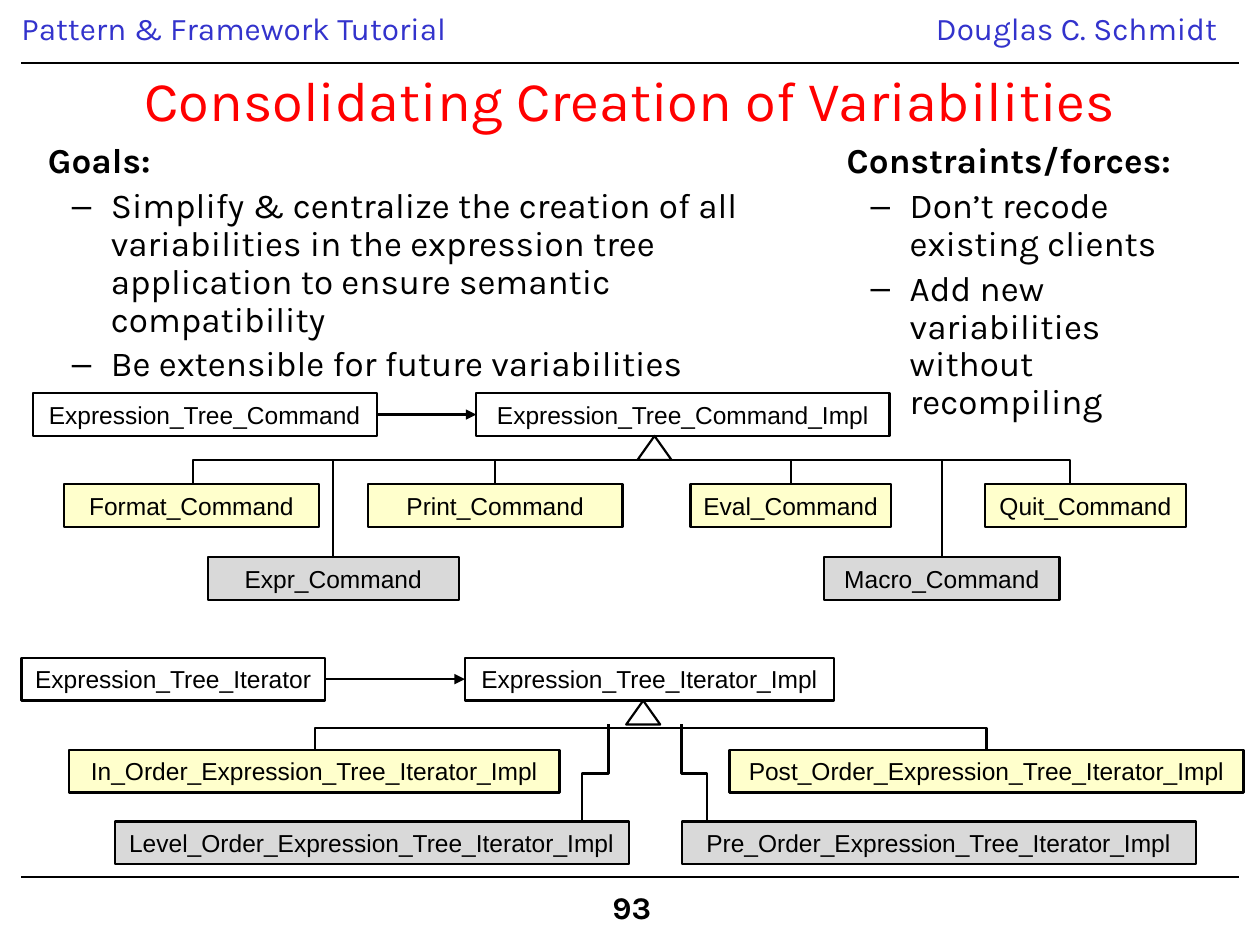
from pptx import Presentation, util as u
from pptx.dml.color import RGBColor
from pptx.enum import shapes, text
from pptx.oxml import ns, xmlchemy as xml

BLACK = RGBColor(0, 0, 0)
WHITE = RGBColor(255, 255, 255)
RED = RGBColor(255, 0, 0)
BLUE = RGBColor(0x33, 0x33, 0xCC)
CREAM = RGBColor(0xFF, 0xFF, 0xCC)
GRAY = RGBColor(0xD9, 0xD9, 0xD9)
ALIGN = text.PP_ALIGN
KIND = shapes.MSO_SHAPE


def inches(*nums):
    """Turn numbers into lengths."""
    return [u.Inches(n) for n in nums]


def write(para, words, font="Karla", size=18, color=BLACK, bold=False,
          align=ALIGN.LEFT, lead=0.9, before=0):
    """Put formatted words in a paragraph."""
    para.alignment = align
    para.line_spacing = lead
    para.space_before = u.Pt(before)
    run = para.add_run()
    run.text = words
    run.font.name = font
    run.font.size = u.Pt(size)
    run.font.bold = bold
    run.font.color.rgb = color


class Sketch:
    """Draw styled elements on the current slide."""

    def __init__(self, slide, font="Arial", size=14, width=1.25):
        self.slide = slide
        self.font, self.size, self.width = font, size, width
        self.place = slide.shapes

    def group(self):
        """Start a new group for the next elements."""
        self.place = self.slide.shapes.add_group_shape().shapes

    def label(self, words, at, wrap=True, **fmt):
        """Add a line of plain text."""
        frame = self.slide.shapes.add_textbox(*inches(*at)).text_frame
        frame.word_wrap = wrap
        write(frame.paragraphs[0], words, **fmt)
        return frame

    def hold(self, holder, at):
        """Move a placeholder and return its text frame."""
        holder.left, holder.top, holder.width, holder.height = inches(*at)
        frame = holder.text_frame
        frame.auto_size = text.MSO_AUTO_SIZE.NONE
        frame.word_wrap = True
        return frame

    def title(self, words, at):
        """Fill the title placeholder."""
        frame = self.hold(self.slide.shapes.title, at)
        frame.vertical_anchor = text.MSO_ANCHOR.MIDDLE
        write(frame.paragraphs[0], words, size=32, color=RED,
              align=ALIGN.CENTER, lead=1.0)

    def bullets(self, index, at, head, items):
        """Fill a body placeholder with a heading and dashed items."""
        frame = self.hold(self.slide.placeholders[index], at)
        frame.vertical_anchor = text.MSO_ANCHOR.TOP
        for num, words in enumerate([head, *items]):
            para = frame.paragraphs[0] if num == 0 else frame.add_paragraph()
            props = para._p.get_or_add_pPr()
            left, hang = inches(0.5, -0.31) if num else inches(0.19, -0.19)
            props.set("marL", str(left))
            props.set("indent", str(hang))
            mark = xml.OxmlElement("a:buChar" if num else "a:buNone")
            if num:
                mark.set("char", "–")
                para.level = 1
            props.append(mark)
            write(para, words, size=20, bold=num == 0, before=4 if num else 0)

    def stroke(self, shape, width=None):
        """Give a shape its black outline."""
        shape.line.color.rgb = BLACK
        shape.line.width = u.Pt(width or self.width)

    def shape(self, kind, at, fill):
        """Add a filled and outlined preset shape."""
        item = self.place.add_shape(kind, *inches(*at))
        item.shadow.inherit = False
        item.fill.solid()
        item.fill.fore_color.rgb = fill
        self.stroke(item)
        return item

    def box(self, words, at, fill=WHITE):
        """Add a class box."""
        item = self.shape(KIND.RECTANGLE, at, fill)
        frame = item.text_frame
        frame.word_wrap = False
        frame.vertical_anchor = text.MSO_ANCHOR.MIDDLE
        write(frame.paragraphs[0], words, font=self.font, size=self.size,
              align=ALIGN.CENTER, lead=1.0)
        return item

    def line(self, start, end, width=None):
        """Add a straight line."""
        item = self.place.add_connector(
            shapes.MSO_CONNECTOR.STRAIGHT, *inches(*start, *end))
        self.stroke(item, width)
        item._element.spPr.append(xml.OxmlElement("a:effectLst"))
        return item

    def arrow(self, source, target):
        """Join two boxes side by side with an arrow."""
        y = source.top.inches + source.height.inches / 2
        x = source.left.inches + source.width.inches
        item = self.line((x, y), (target.left.inches, y))
        item.begin_connect(source, 3)
        item.end_connect(target, 1)
        tail = xml.OxmlElement("a:tailEnd")
        tail.set("type", "triangle")
        item._element.spPr.find(ns.qn("a:ln")).append(tail)

    def drop(self, box, y):
        """Join a bus at height y to the top of a box."""
        x = box.left.inches + box.width.inches / 2
        item = self.line((x, y), (x, box.top.inches))
        item.end_connect(box, 0)

    def bend(self, *points):
        """Add an open line with corners."""
        first, *rest = [inches(*point) for point in points]
        build = self.place.build_freeform(*first)
        build.add_line_segments(rest, close=False)
        item = build.convert_to_shape()
        item.shadow.inherit = False
        item.fill.background()
        self.stroke(item)


def main():
    """Build and save the slide."""
    deck = Presentation()
    deck.slide_width, deck.slide_height = inches(10, 7.5)
    art = Sketch(deck.slides.add_slide(deck.slide_layouts[3]))

    head = art.label("Pattern & Framework Tutorial",
                     (0.17, 0.06, 5.92, 0.37), color=BLUE)
    head.margin_left = head.margin_right = 0
    art.label("Douglas C. Schmidt", (7.33, 0.06, 2.51, 0.4), color=BLUE)
    art.label("93", (4.76, 7.03, 0.51, 0.4), wrap=False, bold=True,
              align=ALIGN.CENTER)
    for y in (0.5, 6.96):
        art.line((0.17, y), (9.83, y), width=0.75)

    art.title("Consolidating Creation of Variabilities",
              (0.17, 0.58, 9.67, 0.42))
    art.bullets(1, (0.28, 1.09, 6.09, 4.82), "Goals:", [
        "Simplify & centralize the creation of all variabilities in the "
        "expression tree application to ensure semantic compatibility",
        "Be extensible for future variabilities"])
    art.bullets(2, (6.62, 1.09, 3.25, 4.82), "Constraints/forces:", [
        "Don’t recode existing clients",
        "Add new variabilities without recompiling"])

    tall, bus = 0.34, 3.65
    art.group()
    base = art.box("Expression_Tree_Command", (0.26, 3.12, 2.73, tall))
    impl = art.box("Expression_Tree_Command_Impl", (3.78, 3.12, 3.28, tall))
    art.arrow(base, impl)
    art.bend((1.53, 3.84), (1.53, bus), (8.49, bus), (8.49, 3.84))
    for name, x, y, wide, fill, joined in (
            ("Format", 0.51, 3.84, 2.02, CREAM, False),
            ("Print", 2.92, 3.84, 2.02, CREAM, True),
            ("Eval", 5.48, 3.84, 1.59, CREAM, True),
            ("Quit", 7.82, 3.84, 1.59, CREAM, False),
            ("Expr", 1.65, 4.42, 1.99, GRAY, True),
            ("Macro", 6.54, 4.42, 1.87, GRAY, True)):
        box = art.box(f"{name}_Command", (x, y, wide, tall), fill)
        if joined:
            art.drop(box, bus)
    art.shape(KIND.ISOSCELES_TRIANGLE, (5.06, 3.46, 0.27, 0.19), WHITE)

    art.group()
    base = art.box("Expression_Tree_Iterator", (0.17, 5.22, 2.41, tall))
    impl = art.box("Expression_Tree_Iterator_Impl", (3.69, 5.22, 2.93, tall))
    art.arrow(base, impl)
    art.bend((2.5, 5.95), (2.5, 5.78), (7.83, 5.78), (7.83, 5.95))
    for inner, outer in ((4.83, 4.62), (5.41, 5.61)):
        art.bend((inner, 5.75), (inner, 6.14), (outer, 6.14), (outer, 6.52))
    for name, x, y, wide, fill in (
            ("In", 0.55, 5.95, 3.89, CREAM),
            ("Post", 5.79, 5.95, 4.08, CREAM),
            ("Level", 0.91, 6.52, 4.08, GRAY),
            ("Pre", 5.41, 6.52, 4.08, GRAY)):
        art.box(f"{name}_Order_Expression_Tree_Iterator_Impl",
                (x, y, wide, tall), fill)
    art.shape(KIND.ISOSCELES_TRIANGLE, (4.97, 5.56, 0.27, 0.19), WHITE)

    deck.save("out.pptx")


if __name__ == "__main__":
    main()
